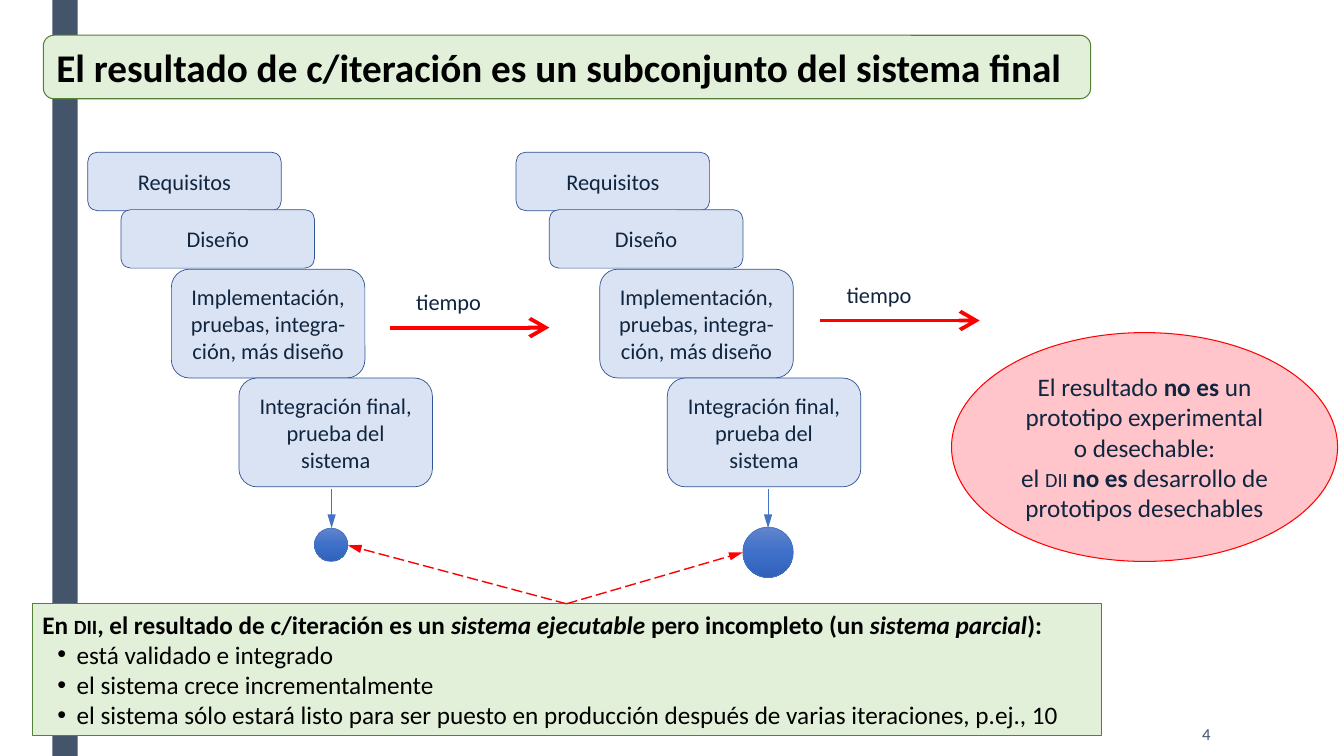
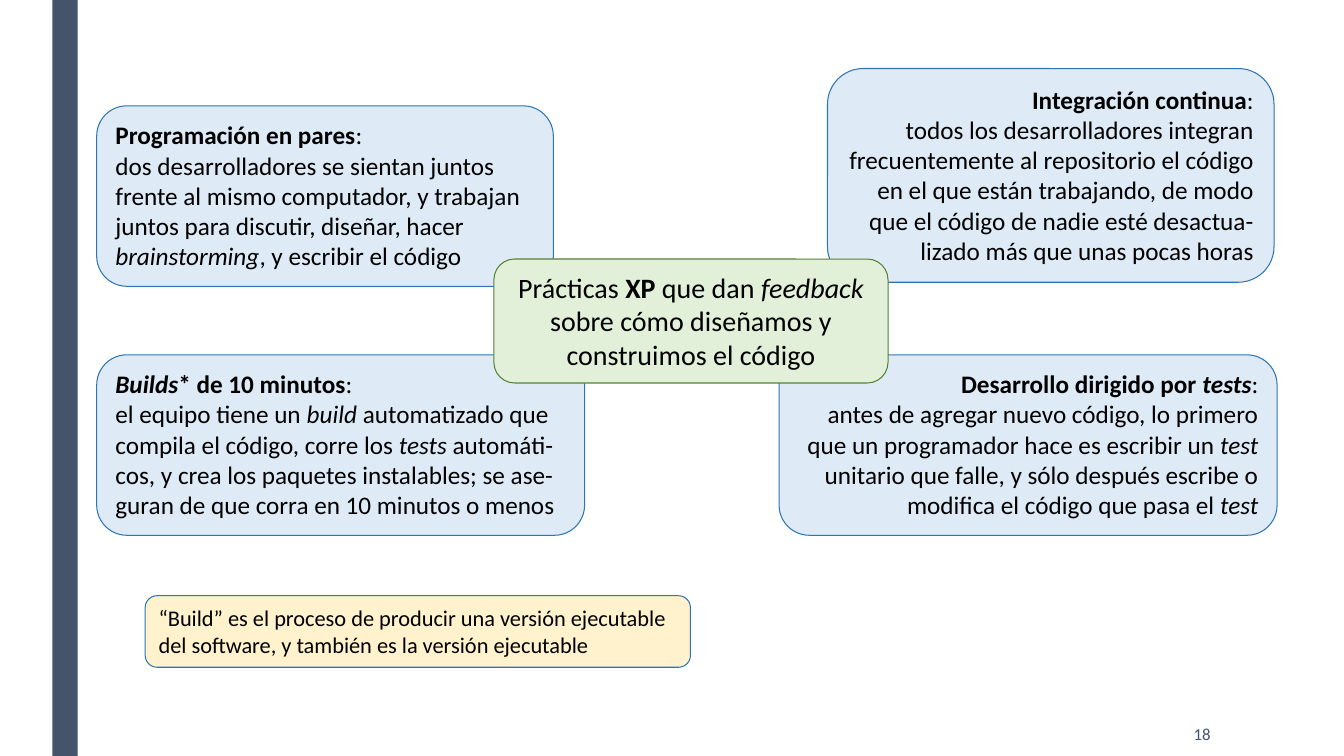
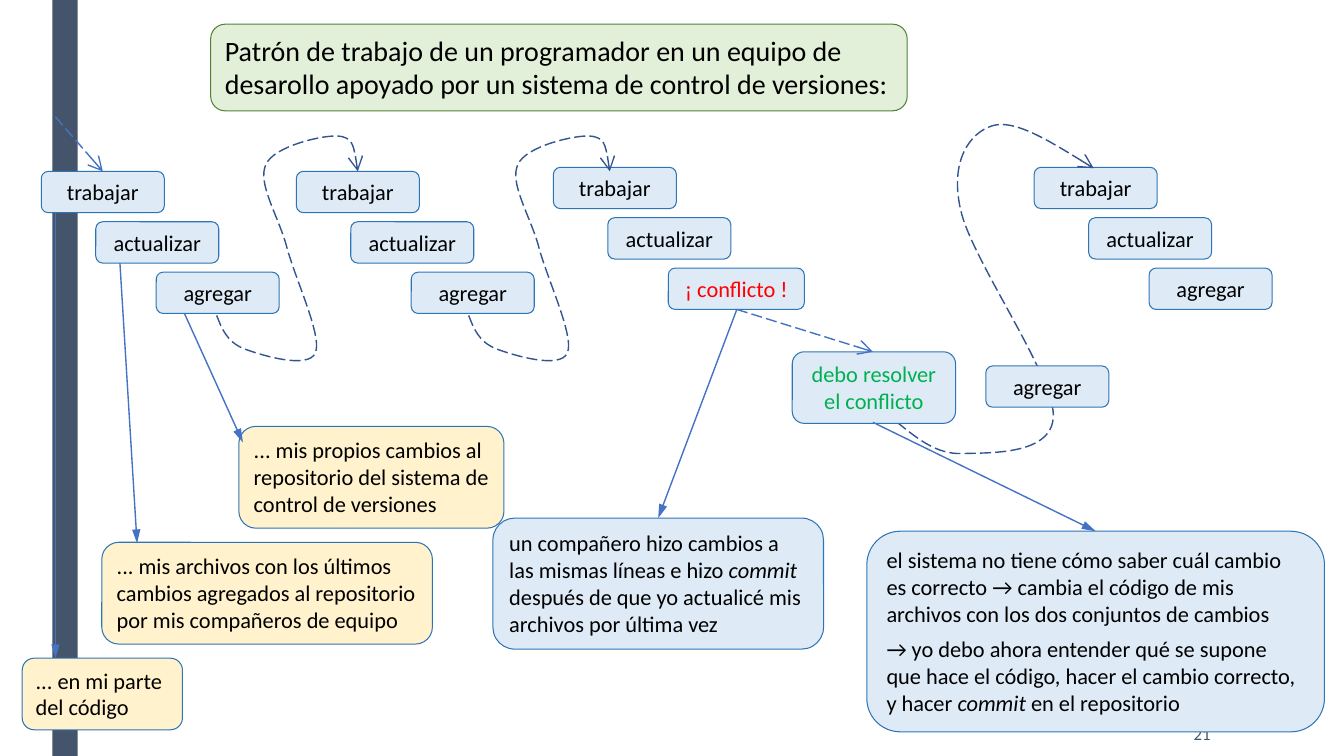
from copy import deepcopy
from dataclasses import dataclass, replace
from typing import NamedTuple

from lxml.etree import SubElement
from pptx import Presentation
from pptx.dml.color import RGBColor
from pptx.enum.dml import MSO_LINE
from pptx.enum.shapes import MSO_CONNECTOR, MSO_SHAPE as Kind
from pptx.enum.text import MSO_ANCHOR as Anchor, MSO_AUTO_SIZE, PP_ALIGN as Align
from pptx.oxml.ns import qn
from pptx.util import Pt

EMU_PER_PX = 9144
FONT = "Calibri"
BLACK, NAVY, SLATE = "000000", "10253F", "44546A"
RED, GREEN, BLUE = "FF0000", "00B050", "4472C4"
BODY_LAYOUT, BLANK_LAYOUT = 1, 6


class Span(NamedTuple):
    text: str
    marks: str = ""


class Area(NamedTuple):
    left: int
    top: int
    width: int
    height: int


class Point(NamedTuple):
    x: int
    y: int


@dataclass(frozen=True)
class Look:
    fill: str | None = None
    line: str | None = None
    width: float = 0.75
    size: int = 16
    colour: str = BLACK
    align: Align = Align.LEFT
    anchor: Anchor = Anchor.TOP
    kind: Kind = Kind.ROUNDED_RECTANGLE


@dataclass(frozen=True)
class Stroke:
    colour: str = BLUE
    width: float = 1
    dashed: bool = False
    head: str = "triangle"
    head_width: str = "med"


Para = tuple[Span, ...]

HEADING = Look("E2F0D9", "548235", size=20)
TITLE = replace(HEADING, size=28)
SUMMARY = replace(HEADING, size=18)
PHASE = Look("DAE3F3", "2F5597", 0.5, colour=NAVY, align=Align.CENTER, anchor=Anchor.MIDDLE)
NOTICE = Look("FFC5CA", RED, size=18, colour=NAVY, align=Align.CENTER, kind=Kind.OVAL)
PLAIN = Look(colour=NAVY)
NUMBER = Look(size=12, colour=SLATE, align=Align.RIGHT, anchor=Anchor.MIDDLE)
DETAIL = Look("DEEBF7", "2E75B6")
PRACTICE = replace(DETAIL, size=18)
PRACTICE_RIGHT = replace(PRACTICE, align=Align.RIGHT)
STEP = replace(DETAIL, align=Align.CENTER)
NOTE = replace(DETAIL, fill="FFF2CC")

THIN = Stroke(width=0.5)
SOLID = Stroke()
NEXT = Stroke(dashed=True, head="arrow", head_width="lg")
LOOP = replace(NEXT, colour="325491")
TIME = replace(NEXT, colour=RED, width=2.75, dashed=False)
RESULT = Stroke(RED, dashed=True)


def px(value: float) -> int:
    return round(value * EMU_PER_PX)


def rgb(colour: str) -> RGBColor:
    return RGBColor.from_string(colour)


def line_of(text: str, marks: str = "") -> Para:
    return (Span(text, marks),)


def write(box, paras: tuple[Para, ...], look: Look, gap: int = 0) -> None:
    frame = box.text_frame
    frame.word_wrap = True
    frame.auto_size = MSO_AUTO_SIZE.NONE
    frame.vertical_anchor = look.anchor
    for index, spans in enumerate(paras):
        para = frame.add_paragraph() if index else frame.paragraphs[0]
        para.alignment = look.align
        para.space_before = Pt(gap if index else 0)
        para.font.name, para.font.size = FONT, Pt(look.size)
        para.font.color.rgb = rgb(look.colour)
        for span in spans:
            run = para.add_run()
            run.text = span.text
            if "b" in span.marks:
                run.font.bold = True
            if "i" in span.marks:
                run.font.italic = True
            if "s" in span.marks:
                run.font._element.set("cap", "small")


def paint(box, look: Look) -> None:
    if look.fill:
        box.fill.solid()
        box.fill.fore_color.rgb = rgb(look.fill)
    if look.line:
        box.line.color.rgb = rgb(look.line)
        box.line.width = Pt(look.width)
    else:
        box.line.fill.background()


def add_card(page, area: Area, look: Look, *paras: Para, gap: int = 0):
    box = page.shapes.add_shape(look.kind, *map(px, area))
    box.shadow.inherit = False
    paint(box, look)
    if paras:
        write(box, paras, look, gap)
    return box


def add_label(page, area: Area, look: Look, text: str) -> None:
    write(page.shapes.add_textbox(*map(px, area)), (line_of(text),), look)


def fill_list(box, area: Area, look: Look, *paras: Para) -> None:
    box.left, box.top, box.width, box.height = map(px, area)
    paint(box, look)
    write(box, paras, look)
    for index, para in enumerate(box.text_frame.paragraphs):
        props = para._p.get_or_add_pPr()
        props.set("marL", str(px(34) if index else 0))
        props.set("indent", str(px(-19) if index else 0))
        if not index:
            props.insert_element_before(props.makeelement(qn("a:buNone")), "a:defRPr")


def draw_stroke(box, stroke: Stroke) -> None:
    box.line.color.rgb = rgb(stroke.colour)
    box.line.width = Pt(stroke.width)
    if stroke.dashed:
        box.line.dash_style = MSO_LINE.LONG_DASH
    line = box._element.spPr.find(qn("a:ln"))
    SubElement(line, qn("a:tailEnd"), type=stroke.head, w=stroke.head_width, len="lg")


def add_arrow(page, start: Point, end: Point, stroke: Stroke) -> None:
    arrow = page.shapes.add_connector(MSO_CONNECTOR.STRAIGHT, *map(px, start + end))
    draw_stroke(arrow, stroke)
    SubElement(arrow._element.spPr, qn("a:effectLst"))


def add_curve(page, points: list[Point], stroke: Stroke) -> None:
    start, *others = [(px(point.x), px(point.y)) for point in points]
    builder = page.shapes.build_freeform(*start)
    builder.add_line_segments(others, close=False)
    curve = builder.convert_to_shape()
    curve.shadow.inherit = False
    curve.fill.background()
    draw_stroke(curve, stroke)
    outline = curve._element.spPr.find(".//" + qn("a:path"))
    segments = outline.findall(qn("a:lnTo"))
    for first in range(0, len(segments), 3):
        bend = SubElement(outline, qn("a:cubicBezTo"))
        for segment in segments[first:first + 3]:
            bend.append(segment[0])
            outline.remove(segment)


def add_ball(page, area: Area) -> None:
    ball = add_card(page, area, Look(line=BLUE, width=0.5, kind=Kind.OVAL))
    ball.fill.gradient()
    ball.fill.gradient_angle = 270
    stops = ball._element.spPr.find(".//" + qn("a:gsLst"))
    stops.insert(1, deepcopy(stops[0]))
    shades = ("6384CB", "3E70CA", "3162BA")
    for stop, shade, position in zip(ball.fill.gradient_stops, shades, (0, 0.5, 1)):
        stop.color.rgb = rgb(shade)
        stop.position = position


def add_page(deck, layout: int, number: int):
    page = deck.slides.add_slide(deck.slide_layouts[layout])
    add_label(page, Area(1036, 706, 175, 44), NUMBER, str(number))
    return page


def add_master_stripe(deck, page) -> None:
    stripe = add_card(page, Area(52, 0, 25, 750), Look(SLATE, kind=Kind.RECTANGLE))
    stripe._element.nvSpPr.cNvPr.set("id", "99")
    deck.slide_master.shapes._spTree.insert(2, stripe._element)


def build_iterations(page) -> None:
    unused_title = page.shapes.title._element
    unused_title.getparent().remove(unused_title)
    phases = (
        (Area(87, 151, 192, 58), (line_of("Requisitos"),)),
        (Area(120, 208, 192, 58), (line_of("Diseño"),)),
        (Area(170, 267, 192, 108),
         (line_of("Implementación,"), line_of("pruebas, integra-ción, más diseño"))),
        (Area(237, 375, 192, 108), (line_of("Integración final, prueba del sistema"),)),
    )
    for shift in (0, 425):
        for area, paras in phases:
            add_card(page, area._replace(left=area.left + shift), PHASE, *paras)
    for x, y in ((387, 325), (814, 318)):
        add_arrow(page, Point(x, y), Point(x + 158, y), TIME)
        add_label(page, Area(x + 16, y - 44, 86, 37), PLAIN, "tiempo")

    fill_list(
        page.placeholders[1], Area(32, 599, 1061, 131), SUMMARY,
        (Span("En ", "b"), Span("dii", "bs"),
         Span(", el resultado de c/iteración es un ", "b"), Span("sistema ejecutable ", "bi"),
         Span("pero incompleto (un ", "b"), Span("sistema parcial", "bi"), Span("):", "b")),
        line_of("está validado e integrado"),
        line_of("el sistema crece incrementalmente"),
        line_of("el sistema sólo estará listo para ser puesto en producción "
                "después de varias iteraciones, p.ej., 10"),
    )
    add_card(
        page, Area(944, 330, 383, 227), replace(NOTICE, anchor=Anchor.MIDDLE),
        (Span("El resultado "), Span("no es", "b"),
         Span(" un prototipo experimental o desechable:")),
        (Span("el "), Span("dii ", "s"), Span("no es", "b"),
         Span(" desarrollo de prototipos desechables")),
    )
    add_card(
        page, Area(43, 35, 1039, 63), TITLE,
        line_of("El resultado de c/iteración es un subconjunto del sistema final", "b"),
    )
    for ball, target in (
        (Area(312, 524, 33, 33), Point(345, 541)),
        (Area(737, 523, 50, 50), Point(737, 548)),
    ):
        add_ball(page, ball)
        middle = ball.left + (ball.width + 1) // 2
        add_arrow(page, Point(middle, 485), Point(middle, 524), THIN)
        add_arrow(page, Point(562, 599), target, RESULT)


def build_practices(page) -> None:
    add_card(
        page, Area(821, 68, 443, 212), PRACTICE_RIGHT,
        (Span("Integración continua", "b"), Span(":")),
        line_of("todos los desarrolladores integran frecuentemente al repositorio el código "
                "en el que están trabajando, de modo que el código de nadie esté "
                "desactua-lizado más que unas pocas horas"),
    )
    add_card(
        page, Area(96, 105, 453, 179), PRACTICE,
        (Span("Programación en pares", "b"), Span(":")),
        (Span("dos desarrolladores se sientan juntos frente al mismo computador, "
              "y trabajan juntos para discutir, diseñar, hacer "),
         Span("brainstorming", "i"), Span(", y escribir el código")),
    )
    add_card(
        page, Area(96, 352, 484, 179), PRACTICE,
        (Span("Builds", "bi"), Span("* de 10 minutos", "b"), Span(":")),
        (Span("el equipo tiene un "), Span("build", "i"),
         Span(" automatizado que compila el código, corre los "), Span("tests", "i"),
         Span(" automáti-cos, y crea los paquetes instalables; "
              "se ase-guran de que corra en 10 minutos o menos")),
    )
    add_card(
        page, Area(773, 352, 494, 179), PRACTICE_RIGHT,
        (Span("Desarrollo dirigido por ", "b"), Span("tests", "bi"), Span(":")),
        (Span("antes de agregar nuevo código, lo primero que un programador hace "
              "es escribir un "), Span("test", "i"),
         Span(" unitario que falle, y sólo después escribe o modifica el código "
              "que pasa el "), Span("test", "i")),
    )
    add_card(
        page, Area(490, 257, 391, 123), replace(HEADING, align=Align.CENTER),
        (Span("Prácticas "), Span("XP", "b"), Span(" que dan "), Span("feedback", "i"),
         Span(" sobre cómo diseñamos y construimos el código")),
    )
    add_card(
        page, Area(144, 591, 541, 71), NOTE,
        line_of("“Build” es el proceso de producir una versión ejecutable del software, "
                "y también es la versión ejecutable"),
    )


def build_version_control(page) -> None:
    add_card(
        page, Area(209, 24, 691, 86), HEADING,
        line_of("Patrón de trabajo de un programador en un equipo de desarollo "
                "apoyado por un sistema de control de versiones:"),
    )
    conflict = replace(STEP, colour=RED)
    for left, top, last, width, look in (
        (41, 170, "agregar", 122, STEP),
        (294, 170, "agregar", 122, STEP),
        (549, 166, "¡ conflicto !", 135, conflict),
        (1026, 166, "agregar", 122, STEP),
    ):
        add_card(page, Area(left, top, 122, 41), STEP, line_of("trabajar"))
        add_card(page, Area(left + 54, top + 50, 122, 41), STEP, line_of("actualizar"))
        add_card(page, Area(left + 114, top + 100, width, 41), look, line_of(last))

    loop = (
        (215, 313), (220, 326), (225, 339), (242, 346), (258, 352), (306, 367), (313, 350),
        (320, 333), (292, 275), (284, 243), (275, 212), (255, 181), (264, 163),
        (272, 145), (320, 134), (335, 135), (350, 136), (353, 153), (355, 170),
    )
    for shift in (0, 250):
        add_curve(page, [Point(x + shift, y) for x, y in loop], LOOP)
    retry = (
        (890, 419), (910, 435), (929, 451), (955, 450), (981, 449), (1045, 452), (1045, 412),
        (1045, 371), (963, 256), (953, 208), (942, 160), (962, 132), (984, 125),
        (1005, 118), (1045, 142), (1085, 167),
    )
    add_curve(page, [Point(*pair) for pair in retry], LOOP)

    add_card(page, Area(786, 349, 162, 71), replace(STEP, colour=GREEN),
             line_of("debo resolver el conflicto"))
    for area, text in (
        (Area(101, 538, 328, 101), "... mis archivos con los últimos cambios agregados "
                                   "al repositorio por mis compañeros de equipo"),
        (Area(237, 423, 263, 101), "... mis propios cambios al repositorio "
                                   "del sistema de control de versiones"),
        (Area(22, 653, 159, 71), "... en mi parte del código"),
    ):
        add_card(page, area, NOTE, line_of(text))
    add_card(
        page, Area(489, 514, 328, 130), DETAIL,
        (Span("un compañero hizo cambios a las mismas líneas e hizo "), Span("commit", "i"),
         Span(" después de que yo actualicé mis archivos por última vez")),
    )
    add_card(
        page, Area(860, 527, 454, 199), DETAIL,
        line_of("el sistema no tiene cómo saber cuál cambio es correcto → cambia el código "
                "de mis archivos con los dos conjuntos de cambios"),
        (Span("→ yo debo ahora entender qué se supone que hace el código, "
              "hacer el cambio correcto, y hacer "), Span("commit", "i"),
         Span(" en el repositorio")),
        gap=6,
    )
    for start, end, stroke in (
        (Point(55, 211), Point(55, 653), SOLID),
        (Point(119, 261), Point(136, 539), SOLID),
        (Point(183, 311), Point(241, 439), SOLID),
        (Point(731, 307), Point(653, 514), SOLID),
        (Point(866, 419), Point(1087, 527), SOLID),
        (Point(731, 307), Point(866, 349), NEXT),
        (Point(55, 116), Point(102, 170), NEXT),
    ):
        add_arrow(page, start, end, stroke)
    add_card(page, Area(978, 363, 122, 41), STEP, line_of("agregar"))


def main() -> None:
    deck = Presentation()
    deck.slide_width, deck.slide_height = px(4000 / 3), px(750)
    iterations = add_page(deck, BODY_LAYOUT, 4)
    add_master_stripe(deck, iterations)
    build_iterations(iterations)
    build_practices(add_page(deck, BLANK_LAYOUT, 18))
    build_version_control(add_page(deck, BLANK_LAYOUT, 21))
    deck.save("out.pptx")


if __name__ == "__main__":
    main()
